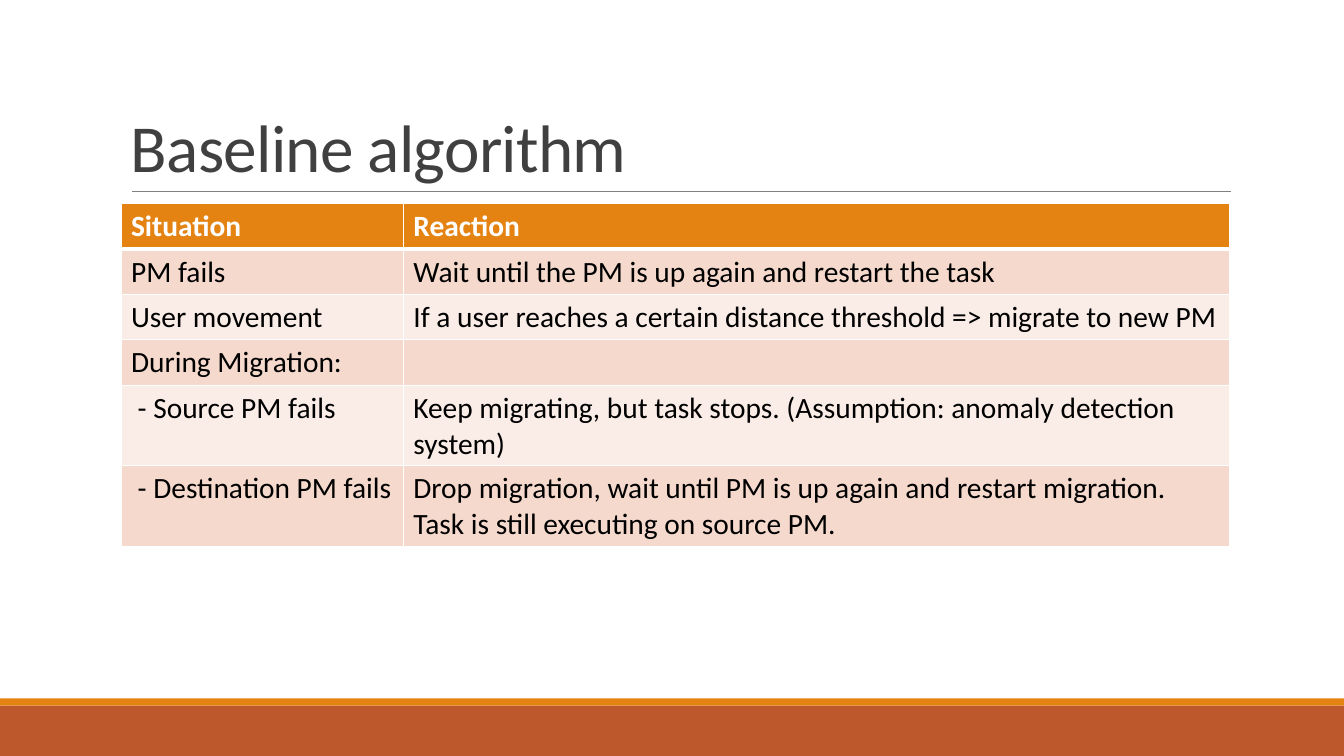
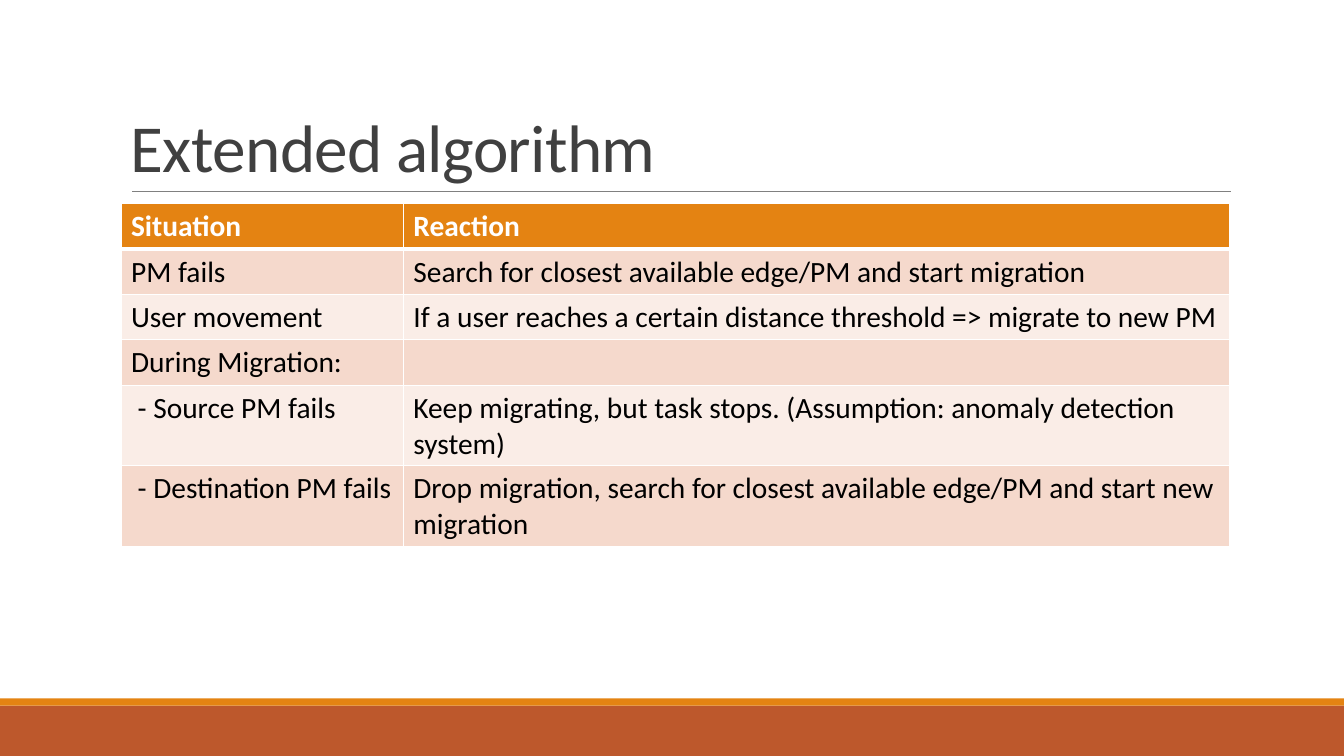
from collections import namedtuple

from lxml.etree import SubElement
from pptx import Presentation
from pptx.dml.color import RGBColor
from pptx.enum.shapes import MSO_CONNECTOR as Connector, MSO_SHAPE as Shape
from pptx.enum.text import MSO_ANCHOR as Anchor
from pptx.oxml.ns import qn
from pptx.util import Inches, Pt

Box = namedtuple("Box", "left top width height")

COLORS = {
    "rust": "BD582C",
    "orange": "E48312",
    "rule": "808080",
    "title": "404040",
    "text": "000000",
    "white": "FFFFFF",
    "odd_row": "F5D9CC",
    "even_row": "FAEDE7",
}
FONT = "Calibri"
SLIDE = Box(0, 0, 13.33, 7.5)
TITLE = Box(1.2, 0.31, 11, 1.59)
TABLE = Box(1.2, 2.02, 11, 2.46)
FOOTER = Box(0, 6.93, SLIDE.width, 0.57)
STRIPE_HEIGHT = 0.07
RULE_INSET = 0.11
COLUMN_SHARES = (2.8 / 11, 8.2 / 11)

HEADER = ("Situation", "Reaction")
MOVEMENT = ("User movement", "If a user reaches a certain distance threshold => migrate to new PM")
MIGRATION = ("During Migration:", "")
SOURCE_FAILS = (
    " - Source PM fails",
    "Keep migrating, but task stops. (Assumption: anomaly detection system)",
)
ALGORITHMS = (
    (
        "Baseline algorithm",
        "Wait until the PM is up again and restart the task",
        "Drop migration, wait until PM is up again and restart migration. "
        "Task is still executing on source PM.",
    ),
    (
        "Extended algorithm",
        "Search for closest available edge/PM and start migration",
        "Drop migration, search for closest available edge/PM and start new migration",
    ),
)


def color(name):
    return RGBColor.from_string(COLORS[name])


def inches(box):
    return [Inches(length) for length in box]


def add_span(para, text, size, color_name, bold=False):
    span = para.add_run()
    span.text = text
    span.font.name = FONT
    span.font.size = Pt(size)
    span.font.bold = bold
    span.font.color.rgb = color(color_name)
    return span


def add_band(page, box, color_name):
    band = page.shapes.add_shape(Shape.RECTANGLE, *inches(box))
    band.shadow.inherit = False
    band.fill.solid()
    band.fill.fore_color.rgb = color(color_name)
    band.line.fill.background()


def add_footer(page, box):
    band_height = box.height - STRIPE_HEIGHT
    add_band(page, Box(box.left, box.top + STRIPE_HEIGHT, box.width, band_height), "rust")
    add_band(page, Box(box.left, box.top, box.width, STRIPE_HEIGHT), "orange")


def add_title(page, box, text):
    bottom = Inches(box.top + box.height)
    start = Inches(box.left + RULE_INSET)
    end = Inches(box.left + box.width + 0.01)
    rule = page.shapes.add_connector(Connector.STRAIGHT, start, bottom, end, bottom)
    rule.line.color.rgb = color("rule")
    rule.line.width = Pt(0.5)
    SubElement(rule.element.spPr, qn("a:effectLst"))

    frame = page.shapes.add_textbox(*inches(box)).text_frame
    frame.word_wrap = True
    frame.vertical_anchor = Anchor.BOTTOM
    para = frame.paragraphs[0]
    para.line_spacing = 0.85
    span = add_span(para, text, 48, "title")
    span.font._element.set("spc", "-50")


def add_borders(cell, top, bottom):
    properties = cell._tc.get_or_add_tcPr()
    for side, width in (("L", 1), ("R", 1), ("T", top), ("B", bottom)):
        border = SubElement(properties, qn(f"a:ln{side}"), w=str(Pt(width)))
        fill = SubElement(border, qn("a:solidFill"))
        SubElement(fill, qn("a:srgbClr"), val=COLORS["white"])


def add_reactions(page, box, rows):
    table = page.shapes.add_table(len(rows), len(COLUMN_SHARES), *inches(box)).table
    for column, share in zip(table.columns, COLUMN_SHARES):
        column.width = Inches(box.width * share)
    for index, texts in enumerate(rows):
        is_header = index == 0
        row_fill = "orange" if is_header else ("even_row", "odd_row")[index % 2]
        for cell, text in zip(table.rows[index].cells, texts):
            add_borders(cell, 3 if index == 1 else 1, 3 if is_header else 1)
            cell.fill.solid()
            cell.fill.fore_color.rgb = color(row_fill)
            if text:
                para = cell.text_frame.paragraphs[0]
                add_span(para, text, 21, "white" if is_header else "text", is_header)


def add_algorithm(deck, title, failure, destination_failure):
    page = deck.slides.add_slide(deck.slide_layouts[6])
    add_footer(page, FOOTER)
    add_title(page, TITLE, title)
    rows = (
        HEADER,
        ("PM fails", failure),
        MOVEMENT,
        MIGRATION,
        SOURCE_FAILS,
        (" - Destination PM fails", destination_failure),
    )
    add_reactions(page, TABLE, rows)


def main():
    deck = Presentation()
    deck.slide_width = Inches(SLIDE.width)
    deck.slide_height = Inches(SLIDE.height)
    for algorithm in ALGORITHMS:
        add_algorithm(deck, *algorithm)
    deck.save("out.pptx")


if __name__ == "__main__":
    main()
